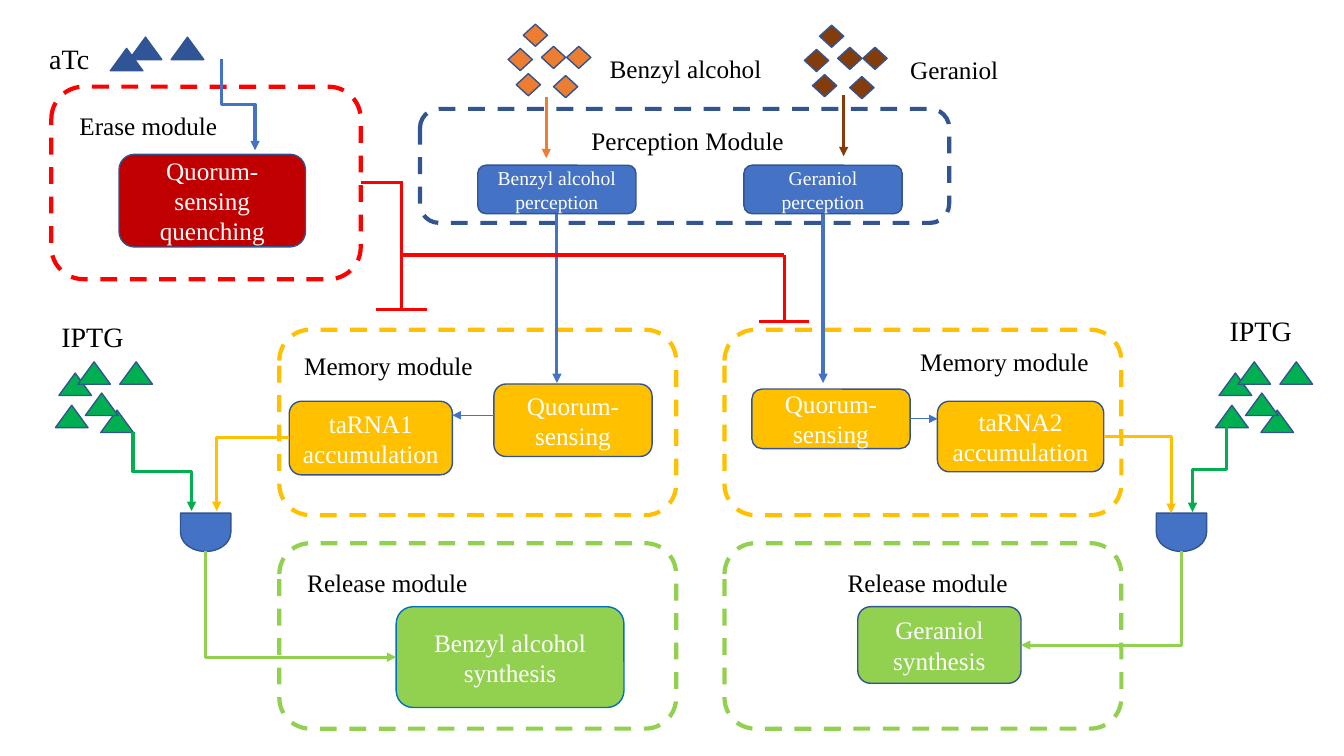
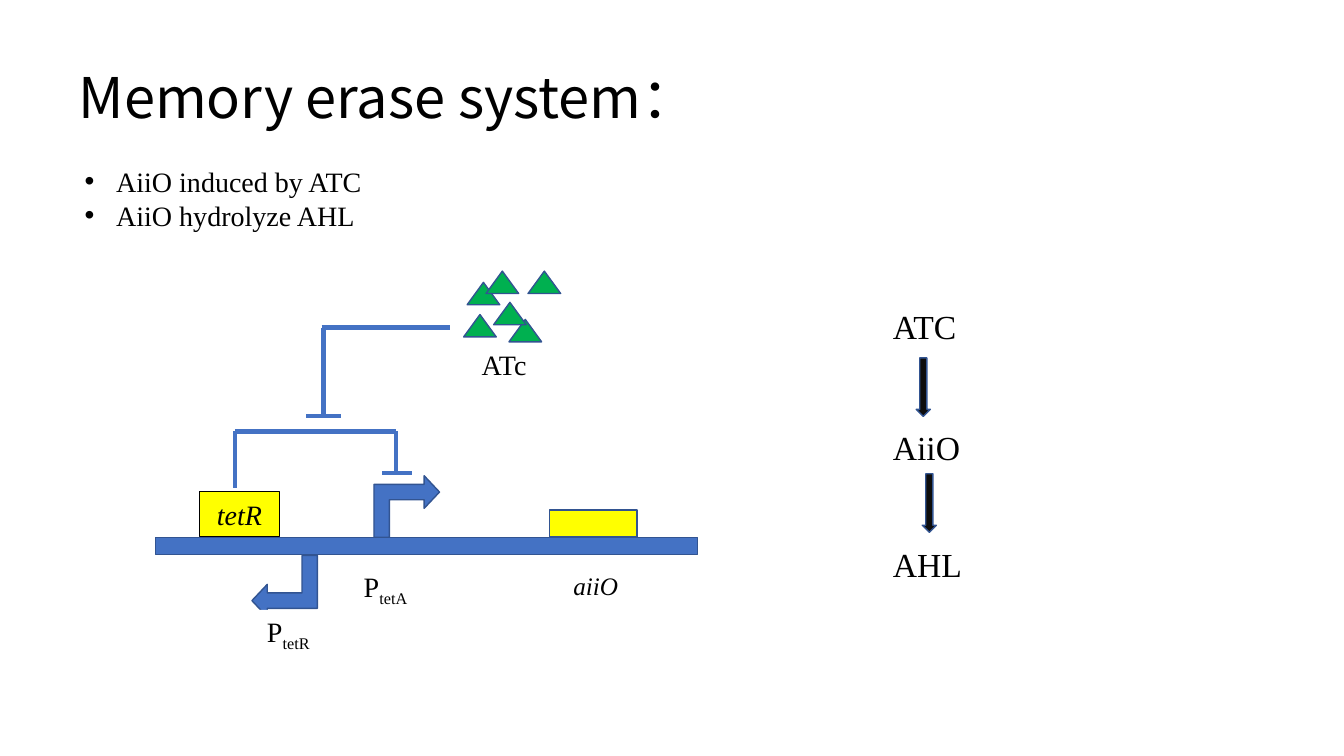
import dataclasses

import lxml.etree
import pptx
import pptx.dml.color
import pptx.enum.dml
import pptx.enum.shapes
import pptx.enum.text
import pptx.oxml.ns
import pptx.util

Pt = pptx.util.Pt
rgb = pptx.dml.color.RGBColor.from_string
qn = pptx.oxml.ns.qn
preset = pptx.enum.shapes.MSO_SHAPE
connector_type = pptx.enum.shapes.MSO_CONNECTOR
alignment = pptx.enum.text.PP_ALIGN
anchoring = pptx.enum.text.MSO_ANCHOR


@dataclasses.dataclass(frozen=True)
class Theme:
    font: str = "Times New Roman"
    title_font: str = "Noto Sans CJK SC"
    white: str = "FFFFFF"
    black: str = "000000"
    ink: str = "0D0D0D"
    outline: str = "325491"
    blue: str = "4472C4"
    navy: str = "2F5597"
    sky: str = "0070C0"
    red: str = "FF0000"
    dark_red: str = "C00000"
    amber: str = "FFC000"
    yellow: str = "FFFF00"
    lime: str = "92D050"
    green: str = "00B050"
    orange: str = "ED7D31"
    brown: str = "843C0B"
    small: int = 14
    label: int = 18
    reagent: int = 20
    step: int = 24
    title: int = 40


theme = Theme()


def block(shapes, kind, frame, fill=None, line=theme.outline, width=1, text="", size=theme.label,
          colour=None, subscript="", italic=False):
    """Add a preset shape with centred text, or a left-aligned label when kind is None."""
    if kind is None:
        box = shapes.add_textbox(*map(Pt, frame))
    else:
        box = shapes.add_shape(kind, *map(Pt, frame))
        box.shadow.inherit = False
        box.line.color.rgb = rgb(line)
        box.line.width = Pt(width)
    if fill:
        box.fill.solid()
        box.fill.fore_color.rgb = rgb(fill)
    if not text:
        return box
    box.text_frame.word_wrap = True
    box.text_frame.vertical_anchor = anchoring.MIDDLE if kind else anchoring.TOP
    for index, words in enumerate(text.split("\n")):
        para = box.text_frame.add_paragraph() if index else box.text_frame.paragraphs[0]
        para.alignment = alignment.CENTER if kind else alignment.LEFT
        for part in filter(None, (words, subscript)):
            span = para.add_run()
            span.text = part
            span.font.name = theme.font
            span.font.size = Pt(size)
            span.font.italic = italic
            span.font.color.rgb = rgb(colour or (theme.white if kind else theme.black))
            if part == subscript:
                span.font._element.set("baseline", "-25000")
    return box


def connect(shapes, start, end, colour, width=2.25, arrow=True, bends=0, downward=False):
    """Add a line with 0, 1 or 2 bends; a downward elbow leaves its start vertically."""
    (x1, y1), (x2, y2) = start, end
    if downward:
        # A quarter turn about the centre swaps the two extents of the elbow.
        mid_x, mid_y, half_w, half_h = (x1 + x2) / 2, (y1 + y2) / 2, (x2 - x1) / 2, (y2 - y1) / 2
        x1, y1, x2, y2 = mid_x - half_h, mid_y + half_w, mid_x + half_h, mid_y - half_w
    kind = connector_type.ELBOW if bends else connector_type.STRAIGHT
    link = shapes.add_connector(kind, Pt(x1), Pt(y1), Pt(x2), Pt(y2))
    properties = link._element.spPr
    if bends == 1:
        properties.find(qn("a:prstGeom")).set("prst", "bentConnector2")
    if downward:
        link.rotation = 90
    link.line.color.rgb = rgb(colour)
    link.line.width = Pt(width)
    if arrow:
        lxml.etree.SubElement(properties.find(qn("a:ln")), qn("a:tailEnd"), type="triangle")
    lxml.etree.SubElement(properties, qn("a:effectLst"))
    return link


deck = pptx.Presentation()
deck.slide_width, deck.slide_height = Pt(960), Pt(540)
overview = deck.slides.add_slide(deck.slide_layouts[6])
erase_page = deck.slides.add_slide(deck.slide_layouts[1])

# Molecules on both slides
triangles = [(2.5, 8), (46, 0), (32.4, 34.5), (0, 31), (21.4, 22.3), (16, 0)]
few_triangles = triangles[:2] + triangles[-1:]
diamonds = [(10.8, 0), (41.8, 15.8), (5.8, 35.3), (0, 17.3), (23.8, 15.8), (32.4, 36.7)]
triangle = (preset.ISOSCELES_TRIANGLE, 23.3, 16)
diamond = (preset.DIAMOND, 17.3, 15.8)
for page, (kind, width, height), offsets, left, top, colour in [
    (overview, triangle, few_triangles, 76.3, 26.6, theme.navy),
    (overview, diamond, diamonds, 363, 17.3, theme.orange),
    (overview, diamond, diamonds, 574.6, 18, theme.brown),
    (overview, triangle, triangles, 39.6, 258.5, theme.green),
    (overview, triangle, triangles, 868.3, 258.5, theme.green),
    (erase_page, triangle, triangles, 331.2, 193.7, theme.green),
]:
    cluster = page.shapes.add_group_shape()
    for x, y in offsets:
        block(cluster.shapes, kind, (left + x, top + y, width, height), colour)

# Overview: dashed modules
shapes = overview.shapes
columns = (199.5, 517.5)
rows = ((235.5, theme.amber), (388, theme.lime))
modules = [((left, top, 283.5, 132.5), colour) for top, colour in rows for left in columns]
modules += [((300, 77.8, 378, 81.4), theme.outline), ((36.7, 61.9, 221, 137.5), theme.red)]
for frame, colour in modules:
    module = block(shapes, preset.ROUNDED_RECTANGLE, frame, theme.white, colour, 3)
    module.line.dash_style = pptx.enum.dml.MSO_LINE.DASH
erase_module = module

steps = {}
for name, frame, fill, line, size, text in [
    ("benzyl perception", (341.3, 118, 113, 34.6), theme.blue, theme.outline, theme.small,
     "Benzyl alcohol perception"),
    ("geraniol perception", (531.4, 118, 113, 34.6), theme.blue, theme.outline, theme.small,
     "Geraniol perception"),
    ("left quorum", (352.8, 274.3, 113, 51.8), theme.amber, theme.outline, theme.label,
     "Quorum-sensing"),
    ("right quorum", (537.1, 277.9, 113, 42.5), theme.amber, theme.outline, theme.label,
     "Quorum-sensing"),
    ("taRNA1", (206.6, 286.6, 116.6, 52.6), theme.amber, theme.outline, theme.label,
     "taRNA1\naccumulation"),
    ("taRNA2", (669.6, 286.6, 118.8, 50.4), theme.amber, theme.outline, theme.label,
     "taRNA2 accumulation"),
    ("benzyl synthesis", (283, 433.4, 162.7, 72), theme.lime, theme.sky, theme.label,
     "Benzyl alcohol synthesis"),
    ("geraniol synthesis", (612.7, 433.4, 116.6, 54.7), theme.lime, theme.outline, theme.label,
     "Geraniol synthesis"),
    ("quenching", (85, 110.2, 133.2, 66.2), theme.dark_red, theme.outline, theme.label,
     "Quorum-sensing quenching"),
]:
    steps[name] = block(shapes, preset.ROUNDED_RECTANGLE, frame, fill, line, text=text, size=size)

for left in (133.2, 830.2):
    gate = block(shapes, preset.FLOWCHART_DELAY, (left, 362.2, 27.4, 36), theme.blue)
    gate.rotation = 90

for text, left, top, width, size in [
    ("aTc", 28.1, 25.9, 64, theme.reagent),
    ("Benzyl alcohol", 428.4, 34.6, 124, theme.label),
    ("Geraniol", 643, 35.3, 124, theme.label),
    ("Erase module", 49.7, 75.6, 145, theme.label),
    ("Perception Module", 415.4, 85.7, 157, theme.label),
    ("IPTG", 36.7, 224.6, 64, theme.reagent),
    ("IPTG", 871.2, 220.3, 67, theme.reagent),
    ("Memory module", 210.2, 247, 141, theme.label),
    ("Memory module", 650.2, 244.1, 139, theme.label),
    ("Release module", 212.4, 401.8, 174, theme.label),
    ("Release module", 598.3, 401.8, 182, theme.label),
]:
    block(shapes, None, (left, top, width, 30), text=text, size=size)

# Overview: signals
for name, x in (("benzyl perception", 397.8), ("geraniol perception", 587.9)):
    link = connect(shapes, (x, 152.6), (x, 273.6), theme.blue)
    link.begin_connect(steps[name], 2)
link = connect(shapes, (650.1, 299.15), (669.6, 299.15), theme.blue, 0.5)
link.begin_connect(steps["right quorum"], 3)
connect(shapes, (352.8, 296.6), (323.2, 296.6), theme.blue, 0.5)
connect(shapes, (390.2, 69.1), (390.2, 113), theme.orange)
connect(shapes, (602.6, 67.7), (602.6, 111.6), theme.brown)

link = connect(shapes, (257.7, 130.65), (286.8, 130.65), theme.red, arrow=False)
link.begin_connect(erase_module, 3)
for start, end in [
    ((286.8, 129.6), (286.8, 221)),
    ((286.8, 182.2), (560.2, 182.2)),
    ((560.2, 182.2), (560.2, 229.7)),
    ((268.8, 221), (304.8, 221)),
    ((542.2, 229.7), (578.2, 229.7)),
]:
    connect(shapes, start, end, theme.red, arrow=False)

for start, end, colour, bends, downward in [
    ((158.4, 41.8), (182.2, 107.3), theme.blue, 2, True),
    ((206.6, 312.5), (154.8, 365), theme.amber, 1, False),
    ((788.4, 311.8), (836.6, 366.5), theme.amber, 1, False),
    ((95, 308.9), (136.8, 365), theme.green, 2, True),
    ((876.2, 304.6), (851.8, 365.8), theme.green, 2, True),
    ((146.9, 393.8), (283, 469.4), theme.lime, 1, True),
    ((843.8, 393.8), (729.3, 460.8), theme.lime, 1, True),
]:
    connect(shapes, start, end, colour, bends=bends, downward=downward)

# Memory erase system: title and list
shapes = erase_page.shapes
title, facts = shapes.title, erase_page.placeholders[1]
for holder, frame in ((title, (49, 41, 606, 55.4)), (facts, (53.3, 113.8, 214, 55.4))):
    holder.left, holder.top, holder.width, holder.height = map(Pt, frame)
    holder.text_frame.word_wrap = True
    holder.text_frame.auto_size = pptx.enum.text.MSO_AUTO_SIZE.NONE
    holder.text_frame.vertical_anchor = anchoring.TOP

para = title.text_frame.paragraphs[0]
para.alignment = alignment.LEFT
for text, font in (("Memory erase system", theme.title_font), ("：", theme.font)):
    span = para.add_run()
    span.text = text
    span.font.name = font
    span.font.size = Pt(theme.title)
    span.font.color.rgb = rgb(theme.black)

for index, text in enumerate(("AiiO induced by ATC", "AiiO hydrolyze AHL")):
    para = facts.text_frame.add_paragraph() if index else facts.text_frame.paragraphs[0]
    indent = para._p.get_or_add_pPr()
    indent.set("marL", str(Pt(22.5)))
    indent.set("indent", str(-Pt(22.5)))
    lxml.etree.SubElement(indent, qn("a:buChar"), char="•")
    para.space_before = Pt(0)
    span = para.add_run()
    span.text = text
    span.font.name = theme.font
    span.font.size = Pt(theme.reagent)
    span.font.color.rgb = rgb(theme.black)

# Memory erase system: gene circuit
block(shapes, preset.RECTANGLE, (110.9, 383.8, 387.4, 12.2), theme.blue)
block(shapes, preset.RECTANGLE, (392.4, 364.3, 62.6, 19.4), theme.yellow)
block(shapes, preset.RECTANGLE, (142.6, 351.4, 56.9, 31.7), theme.yellow, theme.black, 0.75,
      "tetR", theme.reagent, theme.black, italic=True)
for left, top, turn in ((181.4, 395.3, 90), (268.6, 338.4, 270)):
    promoter = block(shapes, preset.BENT_UP_ARROW, (left, top, 43.9, 46.8), theme.blue)
    promoter.adjustments[1] = 0.265
    promoter.rotation = turn
    promoter._element.spPr.find(qn("a:xfrm")).set("flipV", "1")

for start, end in [
    ((167.8, 308.2), (167.8, 348.5)),
    ((167.8, 308.2), (283, 308.2)),
    ((283, 308.2), (283, 337.7)),
    ((272.9, 337.7), (294.5, 337.7)),
    ((229.7, 234), (321.1, 234)),
    ((231.1, 234), (231.1, 298)),
    ((218.9, 297.4), (243.4, 297.4)),
]:
    connect(shapes, start, end, theme.blue, 3, arrow=False)

block(shapes, None, (337, 244.8, 54, 31.7), text="ATc", size=theme.reagent)
block(shapes, None, (402.5, 403.9, 54, 28.8), text="aiiO", italic=True)
for left, top, gene in ((252.7, 403.2, "tetA"), (183.6, 435.6, "tetR")):
    block(shapes, None, (left, top, 54, 31.7), theme.white, text="P", size=theme.reagent,
          subscript=gene)

# Memory erase system: cascade
for text, top in (("ATC", 215.3), ("AiiO", 301.7), ("AHL", 385.2)):
    block(shapes, None, (630.7, top, 104, 36), text=text, size=theme.step)
for left, top in ((654.5, 255.6), (658.8, 338.4)):
    block(shapes, preset.DOWN_ARROW, (left, top, 10.1, 41.8), theme.ink)

deck.save("out.pptx")
